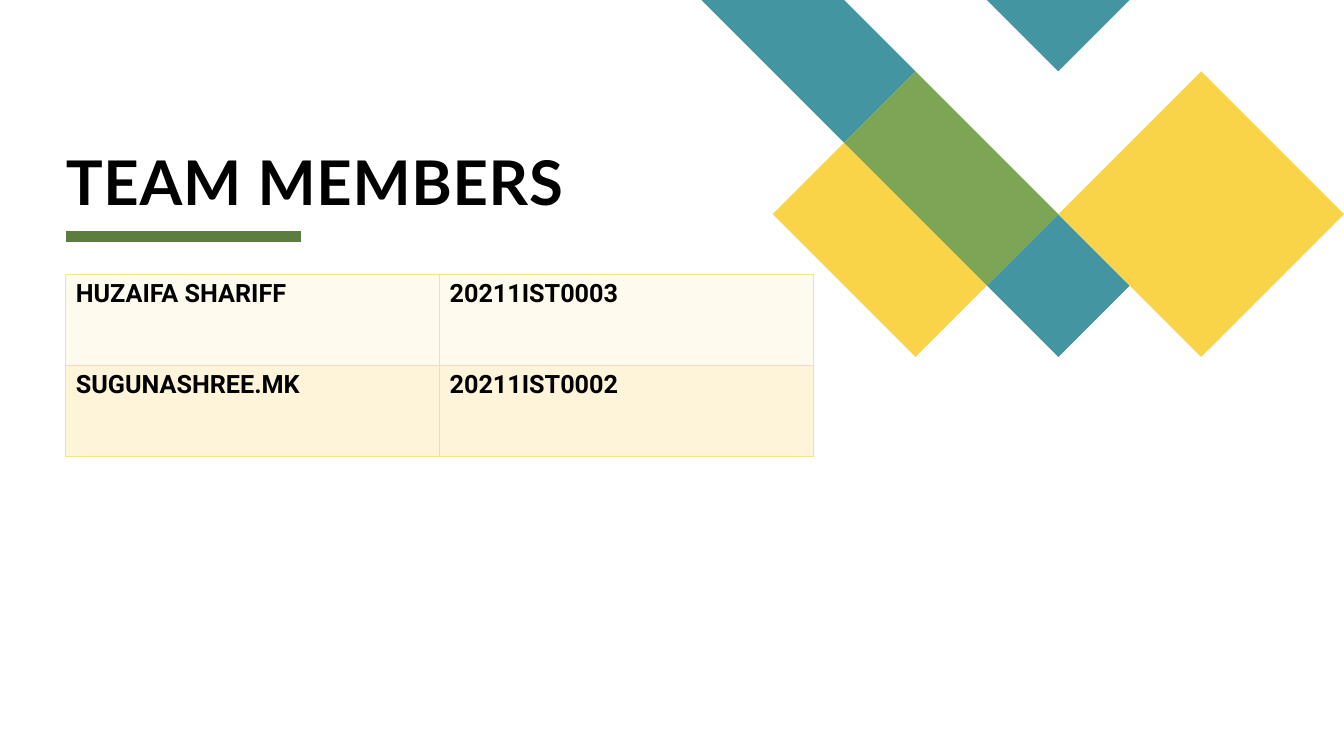
from dataclasses import dataclass

from lxml.etree import SubElement
from pptx import Presentation
from pptx.dml.color import RGBColor
from pptx.enum.shapes import MSO_CONNECTOR as Connector
from pptx.enum.text import MSO_ANCHOR as Anchor, MSO_AUTO_SIZE as AutoSize, PP_ALIGN as Align
from pptx.oxml.ns import qn
from pptx.util import Pt


@dataclass(frozen=True)
class Theme:
    teal: str = "4495A2"
    yellow: str = "F9D448"
    green: str = "7CA655"
    rule: str = "5D7D40"
    text: str = "000000"
    border: str = "FBE284"
    row_fills: tuple = ("FEFAED", "FDF4D9")
    title_font: str = "Lato"
    table_font: str = "Roboto"
    title_size: int = 44
    table_size: int = 18


@dataclass(frozen=True)
class Box:
    left: float
    top: float
    width: float
    height: float

    def in_points(self):
        return Pt(self.left), Pt(self.top), Pt(self.width), Pt(self.height)


THEME = Theme()
SLIDE = Box(0, 0, 960, 540)
MOTIF = Box(501, 0, 459, 255)
TITLE = Box(47, 15, 534, 140.5)
RULE = Box(47, 169, 168, 8)
MEMBERS = Box(47, 196, 534, 130)

# Corners of each tile as (column, row) on a grid of 9 by 5 squares
MOTIF_COLUMNS = 9
MOTIF_TILES = [
    (THEME.teal, [(3, 1), (2, 0), (0, 0), (2, 2)]),
    (THEME.teal, [(6, 4), (5, 3), (4, 4), (5, 5)]),
    (THEME.yellow, [(2, 2), (1, 3), (3, 5), (4, 4)]),
    (THEME.teal, [(6, 0), (4, 0), (5, 1)]),
    (THEME.green, [(3, 1), (2, 2), (4, 4), (5, 3)]),
    (THEME.yellow, [(9, 3), (7, 1), (5, 3), (7, 5)]),
]

TEAM = [
    ("HUZAIFA SHARIFF", "20211IST0003"),
    ("SUGUNASHREE.MK", "20211IST0002"),
]


def rgb(color):
    return RGBColor.from_string(color)


def style_text(paragraph, font_name, size):
    for run in paragraph.runs:
        run.font.name = font_name
        run.font.size = Pt(size)
        run.font.bold = True
        run.font.color.rgb = rgb(THEME.text)


def add_motif(slide, box):
    square = Pt(box.width / MOTIF_COLUMNS)
    for color, corners in MOTIF_TILES:
        outline = slide.shapes.build_freeform(*corners[0], scale=square)
        outline.add_line_segments(corners[1:], close=True)
        tile = outline.convert_to_shape(Pt(box.left), Pt(box.top))
        tile.shadow.inherit = False
        tile.fill.solid()
        tile.fill.fore_color.rgb = rgb(color)
        tile.line.fill.background()


def add_title(slide, box, wording):
    title = slide.shapes.title
    title.left, title.top, title.width, title.height = box.in_points()
    frame = title.text_frame
    frame.text = wording
    frame.word_wrap = True
    frame.auto_size = AutoSize.NONE
    frame.vertical_anchor = Anchor.BOTTOM
    frame.margin_left = frame.margin_right = frame.margin_top = frame.margin_bottom = 0
    heading = frame.paragraphs[0]
    heading.alignment = Align.LEFT
    heading.line_spacing = 0.8
    style_text(heading, THEME.title_font, THEME.title_size)
    # Letter spacing, in hundredths of a point
    heading.runs[0].font._element.set("spc", "50")


def add_rule(slide, box):
    rule = slide.shapes.add_connector(
        Connector.STRAIGHT, Pt(box.left), Pt(box.top),
        Pt(box.left + box.width), Pt(box.top))
    rule.line.color.rgb = rgb(THEME.rule)
    rule.line.width = Pt(box.height)
    SubElement(rule._element.spPr, qn("a:effectLst"))


def add_borders(cell):
    properties = cell._tc.get_or_add_tcPr()
    for side in ("lnL", "lnR", "lnT", "lnB"):
        line = SubElement(properties, qn(f"a:{side}"), w=str(Pt(1)))
        fill = SubElement(line, qn("a:solidFill"))
        SubElement(fill, qn("a:srgbClr"), val=THEME.border)


def add_members(slide, box, team):
    members = slide.shapes.add_table(len(team), len(team[0]), *box.in_points()).table
    members.first_row = False
    members.horz_banding = False
    for row, member, fill in zip(members.rows, team, THEME.row_fills):
        for cell, wording in zip(row.cells, member):
            add_borders(cell)
            cell.fill.solid()
            cell.fill.fore_color.rgb = rgb(fill)
            cell.text_frame.text = wording
            style_text(cell.text_frame.paragraphs[0], THEME.table_font, THEME.table_size)


def main():
    deck = Presentation()
    deck.slide_width, deck.slide_height = Pt(SLIDE.width), Pt(SLIDE.height)
    slide = deck.slides.add_slide(deck.slide_layouts.get_by_name("Title Only"))

    # Corner decoration
    add_motif(slide, MOTIF)
    # Heading
    add_rule(slide, RULE)
    add_title(slide, TITLE, "TEAM MEMBERS")
    # Names and roll numbers
    add_members(slide, MEMBERS, TEAM)

    deck.save("out.pptx")


if __name__ == "__main__":
    main()
